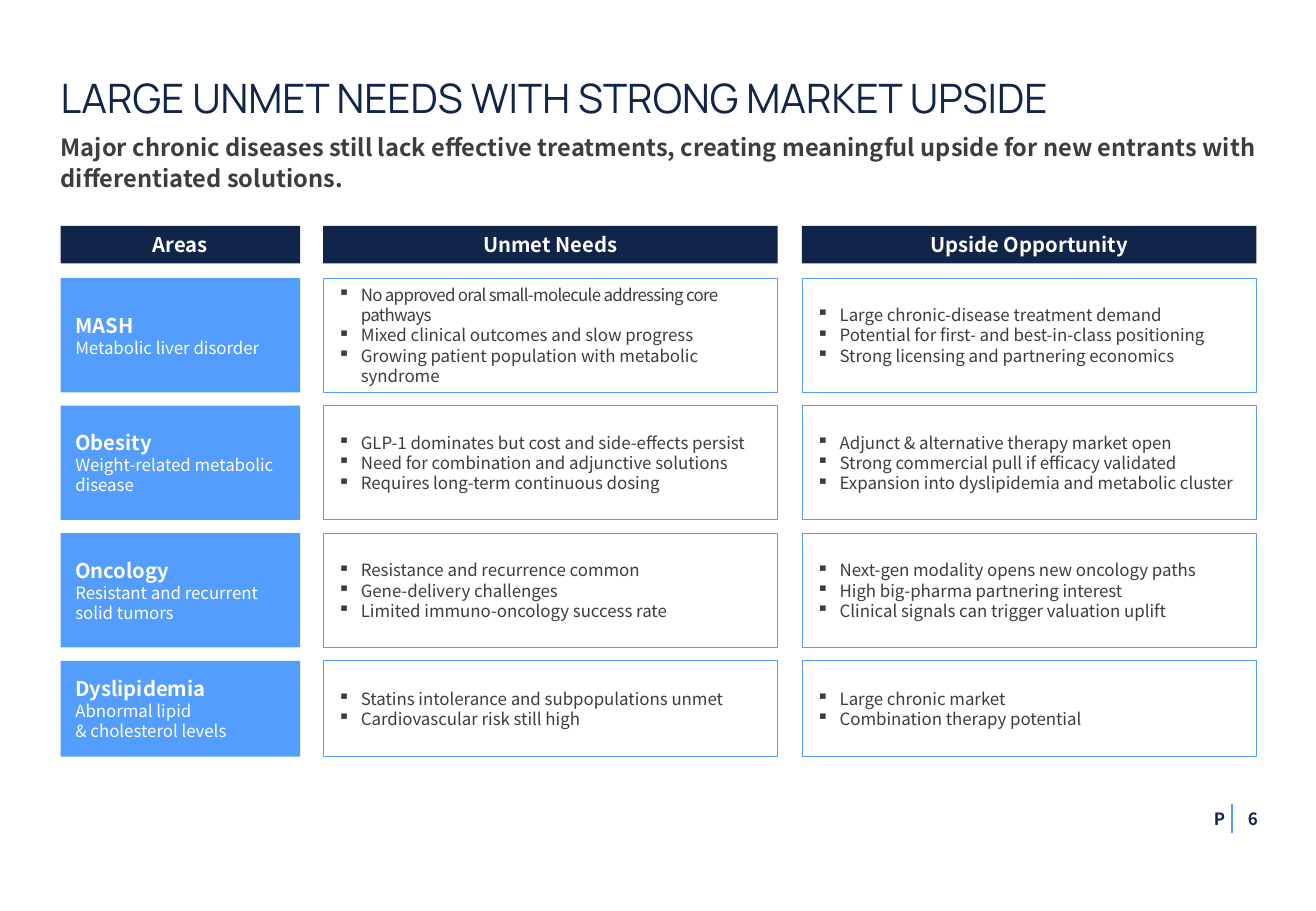
from pptx import Presentation
from pptx.dml.color import RGBColor
from pptx.enum.shapes import MSO_CONNECTOR, MSO_SHAPE
from pptx.enum.text import MSO_ANCHOR as ANCHOR, PP_ALIGN as ALIGN
from pptx.oxml.ns import qn
from pptx.util import Pt
from lxml.etree import SubElement

PX = 9144  # 100 px to the inch
NAVY, BLUE, GREY, WHITE = "11244A", "539DFF", "3D3D3D", "FFFFFF"
SANS = "Noto Sans CJK KR"


def rgb(value):
    return RGBColor.from_string(value)


def add_block(box, paragraphs, fill=None, line=None, anchor=ANCHOR.MIDDLE,
              left=0, right=0, wrap=True):
    """Add a rectangle, or a text box if it has no fill, and its paragraphs.

    Each paragraph is (text, format); format may hold align, spacing, bullet,
    tracking, size, bold, color and name.
    """
    box = [v * PX for v in box]
    if fill:
        sp = s.shapes.add_shape(MSO_SHAPE.RECTANGLE, *box)
        sp.shadow.inherit = False
        sp.fill.solid()
        sp.fill.fore_color.rgb = rgb(fill)
        if line:
            sp.line.color.rgb = rgb(line)
            sp.line.width = Pt(0.5)
        else:
            sp.line.fill.background()
    else:
        sp = s.shapes.add_textbox(*box)
    tf = sp.text_frame
    frame = {"word_wrap": wrap, "vertical_anchor": anchor, "margin_left": left * PX,
             "margin_right": right * PX, "margin_top": 0, "margin_bottom": 0}
    for key, value in frame.items():
        setattr(tf, key, value)
    for i, (text, fmt) in enumerate(paragraphs):
        p = tf.add_paragraph() if i else tf.paragraphs[0]
        p.alignment = fmt.get("align", ALIGN.LEFT)
        p.line_spacing = fmt.get("spacing")
        if fmt.get("bullet"):
            pPr = p._p.get_or_add_pPr()
            pPr.set("marL", str(19 * PX))
            pPr.set("indent", str(-19 * PX))
            SubElement(pPr, qn("a:buChar")).set("char", "▪")
        r = p.add_run()
        r.text = text
        if "tracking" in fmt:
            r._r.get_or_add_rPr().set("spc", str(fmt["tracking"]))
        r.font.name = fmt.get("name", SANS)
        r.font.size = Pt(fmt["size"])
        r.font.bold = fmt.get("bold", False)
        r.font.color.rgb = rgb(fmt["color"])


prs = Presentation()
prs.slide_width, prs.slide_height = 1083 * PX, 750 * PX
s = prs.slides.add_slide(prs.slide_layouts[6])

title = {"size": 24, "color": NAVY, "name": "Manrope"}
subtitle = {"size": 14, "color": GREY, "bold": True, "spacing": 1.1}
header = {"size": 12, "color": WHITE, "bold": True, "align": ALIGN.CENTER}
area_name = {"size": 12, "color": WHITE, "bold": True}
area_note = {"size": 10, "color": WHITE}
bullet = {"size": 10, "color": GREY, "bullet": True}
tight_bullet = {**bullet, "tracking": -40}
page = {"size": 10, "color": NAVY, "bold": True}

add_block((50, 60, 984, 47), [("LARGE UNMET NEEDS WITH STRONG MARKET UPSIDE", title)],
          anchor=ANCHOR.TOP)
add_block((50, 107, 984, 50),
          [("Major chronic diseases still lack effective treatments, creating meaningful "
            "upside for new entrants with differentiated solutions.", subtitle)],
          anchor=ANCHOR.TOP)

columns = [("Areas", 50, 197), ("Unmet Needs", 266, 374), ("Upside Opportunity", 660, 374)]
for label, x, w in columns:
    add_block((x, 186, w, 31), [(label, header)], fill=NAVY)

# Each row: height, area name with its notes, unmet needs, upside opportunities
rows = [
    (94, ["MASH", "Metabolic liver disorder"],
     ["No approved oral small-molecule addressing core pathways",
      "Mixed clinical outcomes and slow progress",
      "Growing patient population with metabolic syndrome"],
     ["Large chronic-disease treatment demand",
      "Potential for first- and best-in-class positioning",
      "Strong licensing and partnering economics"]),
    (94, ["Obesity", "Weight-related metabolic disease"],
     ["GLP-1 dominates but cost and side-effects persist",
      "Need for combination and adjunctive solutions",
      "Requires long-term continuous dosing"],
     ["Adjunct & alternative therapy market open",
      "Strong commercial pull if efficacy validated",
      "Expansion into dyslipidemia and metabolic cluster"]),
    (94, ["Oncology", "Resistant and recurrent", "solid tumors"],
     ["Resistance and recurrence common",
      "Gene-delivery challenges",
      "Limited immuno-oncology success rate"],
     ["Next-gen modality opens new oncology paths",
      "High big-pharma partnering interest",
      "Clinical signals can trigger valuation uplift"]),
    (79, ["Dyslipidemia", "Abnormal lipid", "& cholesterol levels"],
     ["Statins intolerance and subpopulations unmet",
      "Cardiovascular risk still high"],
     ["Large chronic market",
      "Combination therapy potential"]),
]
ROW_GAP = 11
y = 229
for h, area, *lists in rows:
    _, x, w = columns[0]
    name, *notes = area
    add_block((x, y, w, h), [(name, area_name)] + [(note, area_note) for note in notes],
              fill=BLUE, left=12)
    for (_, x, w), items in zip(columns[1:], lists):
        points = [(item, tight_bullet if item.startswith("No approved") else bullet)
                  for item in items]
        add_block((x, y, w, h), points, fill=WHITE, line=BLUE, left=12)
    y += h + ROW_GAP

add_block((999, 666, 17, 17), [("P", page)], right=8, wrap=False)
add_block((999, 666, 36, 17), [("6", {**page, "align": ALIGN.RIGHT})], left=8)
divider = s.shapes.add_connector(MSO_CONNECTOR.STRAIGHT, 1014 * PX, 662 * PX,
                                 1014 * PX, 686 * PX)
divider.line.color.rgb = rgb(BLUE)
divider.line.width = Pt(1)
SubElement(divider._element.spPr, qn("a:effectLst"))

prs.save("out.pptx")
